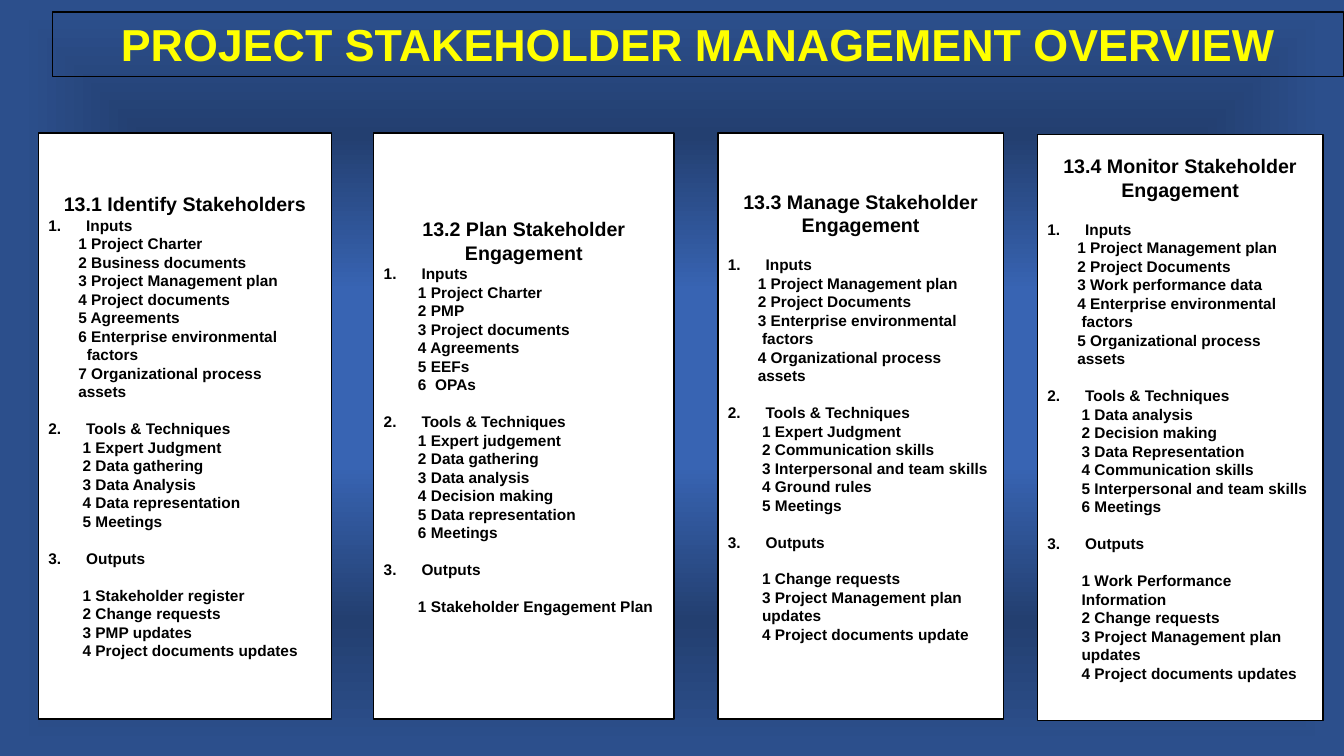
from pptx import Presentation
from pptx.dml.color import RGBColor
from pptx.enum.shapes import MSO_SHAPE
from pptx.enum.text import MSO_ANCHOR, PP_ALIGN
from pptx.oxml import parse_xml
from pptx.oxml.ns import nsdecls
from pptx.util import Pt

RECTANGLE = MSO_SHAPE.RECTANGLE
MIDDLE, BOTTOM = MSO_ANCHOR.MIDDLE, MSO_ANCHOR.BOTTOM
LEFT, CENTER = PP_ALIGN.LEFT, PP_ALIGN.CENTER

BLACK = RGBColor(0x00, 0x00, 0x00)
WHITE = RGBColor(0xFF, 0xFF, 0xFF)
YELLOW = RGBColor(0xFF, 0xFF, 0x00)
GLOW_STOPS = [(0, "3864B3"), (23, "3864B3"), (64, "233F70"), (97, "2C4F8C")]

FONT = "Arial"
BLANK_LAYOUT = 6
LINE_GAP = 13.2  # height of one line of list text
INSET = 3.6
NUMBER_INDENT = 27
NEAR, FAR, DEEP = 21.4, 24.5, 27.5  # left indents of list items

TITLE = "PROJECT STAKEHOLDER MANAGEMENT OVERVIEW"

# Each card: heading, (left, top, width), top inset, gap above Inputs, item indent
# of the inputs, then the items of the three sections. An item given as a pair
# carries its own indent.
CARDS = [
    ("13.1 Identify Stakeholders", (27.4, 95, 209.5), INSET + LINE_GAP, 0, NEAR,
     ["1 Project Charter", "2 Business documents", "3 Project Management plan",
      "4 Project documents", "5 Agreements", "6 Enterprise environmental",
      ("factors", DEEP), "7 Organizational process", "assets"],
     ["1 Expert Judgment", "2 Data gathering", "3 Data Analysis",
      "4 Data representation", "5 Meetings"],
     ["1 Stakeholder register", "2 Change requests", "3 PMP updates",
      "4 Project documents updates"]),
    ("13.2 Plan Stakeholder Engagement", (267, 95, 214.5), INSET, 0, FAR,
     ["1 Project Charter", "2 PMP", "3 Project documents", "4 Agreements",
      "5 EEFs", "6  OPAs"],
     ["1 Expert judgement", "2 Data gathering", "3 Data analysis",
      "4 Decision making", "5 Data representation", "6 Meetings"],
     ["1 Stakeholder Engagement Plan"]),
    ("13.3 Manage Stakeholder Engagement", (512.8, 95, 204), INSET, LINE_GAP, NEAR,
     ["1 Project Management plan", "2 Project Documents",
      "3 Enterprise environmental", ("factors", FAR),
      "4 Organizational process", "assets"],
     ["1 Expert Judgment", "2 Communication skills",
      "3 Interpersonal and team skills", "4 Ground rules", "5 Meetings"],
     ["1 Change requests", "3 Project Management plan", "updates",
      "4 Project documents update"]),
    ("13.4 Monitor Stakeholder Engagement", (741, 96.2, 204), INSET, LINE_GAP, NEAR,
     ["1 Project Management plan", "2 Project Documents",
      "3 Work performance data", "4 Enterprise environmental", ("factors", FAR),
      "5 Organizational process", "assets"],
     ["1 Data analysis", "2 Decision making", "3 Data Representation",
      "4 Communication skills", "5 Interpersonal and team skills", "6 Meetings"],
     ["1 Work Performance", "Information", "2 Change requests",
      "3 Project Management plan", "updates", "4 Project documents updates"]),
]
CARD_HEIGHT = 418.5


def paint_background(page):
    """Fill the page with a gradient that runs from its centre to its edges."""
    stops = "".join(
        f'<a:gs pos="{position * 1000}"><a:srgbClr val="{colour}"/></a:gs>'
        for position, colour in GLOW_STOPS)
    background = parse_xml(
        f'<p:bg {nsdecls("p", "a")}><p:bgPr><a:gradFill rotWithShape="1">'
        f'<a:gsLst>{stops}</a:gsLst><a:path path="shape">'
        '<a:fillToRect l="50000" t="50000" r="50000" b="50000"/></a:path>'
        '</a:gradFill><a:effectLst/></p:bgPr></p:bg>')
    page._element.cSld.insert(0, background)


def add_box(page, left, top, width, height, line_width, anchor):
    box = page.shapes.add_shape(RECTANGLE, Pt(left), Pt(top), Pt(width), Pt(height))
    box.shadow.inherit = False
    box.line.color.rgb = BLACK
    box.line.width = Pt(line_width)
    box.text_frame.word_wrap = True
    box.text_frame.vertical_anchor = anchor
    return box


def write(para, text, size, colour=BLACK, align=LEFT, gap=0):
    para.text = text
    para.alignment = align
    if gap:
        para.space_before = Pt(gap)
    for span in para.runs:
        span.font.name = FONT
        span.font.size = Pt(size)
        span.font.bold = True
        span.font.color.rgb = colour


def indent(para, left, first_line=0):
    properties = para._p.get_or_add_pPr()
    properties.set("marL", str(Pt(left)))
    properties.set("indent", str(Pt(first_line)))
    return properties


def add_section(frame, number, name, items, item_indent, gap, item_gap):
    """Add a numbered section name and its items, one paragraph each."""
    para = frame.add_paragraph()
    properties = indent(para, NUMBER_INDENT, -NUMBER_INDENT)
    properties.append(parse_xml(
        f'<a:buFont {nsdecls("a")} typeface="+mj-lt"/>'))
    properties.append(parse_xml(
        f'<a:buAutoNum {nsdecls("a")} type="arabicPeriod" startAt="{number}"/>'))
    write(para, name, 11, gap=gap)
    for index, item in enumerate(items):
        text, left = item if isinstance(item, tuple) else (item, item_indent)
        para = frame.add_paragraph()
        indent(para, left)
        write(para, text, 11, gap=0 if index else item_gap)


def add_title(page):
    box = add_box(page, 37.4, 8.6, 922.6, 46.1, 0.75, BOTTOM)
    box.fill.background()
    para = box.text_frame.paragraphs[0]
    write(para, TITLE, 32, YELLOW, CENTER)
    para.line_spacing = 0.9


def add_card(page, heading, place, top_inset, inputs_gap, inputs_indent,
             inputs, tools, outputs):
    box = add_box(page, *place, CARD_HEIGHT, 1, MIDDLE)
    box.fill.solid()
    box.fill.fore_color.rgb = WHITE
    frame = box.text_frame
    frame.margin_top = Pt(top_inset)
    frame.margin_bottom = Pt(INSET + LINE_GAP)
    write(frame.paragraphs[0], heading, 14, align=CENTER)
    add_section(frame, 1, "Inputs", inputs, inputs_indent, inputs_gap, 0)
    add_section(frame, 2, "Tools & Techniques", tools, FAR, LINE_GAP, 0)
    add_section(frame, 3, "Outputs", outputs, FAR, LINE_GAP, LINE_GAP)


def main():
    deck = Presentation()
    deck.slide_width, deck.slide_height = Pt(960), Pt(540)
    page = deck.slides.add_slide(deck.slide_layouts[BLANK_LAYOUT])
    paint_background(page)
    add_title(page)
    for card in CARDS:
        add_card(page, *card)
    deck.save("out.pptx")


if __name__ == "__main__":
    main()
